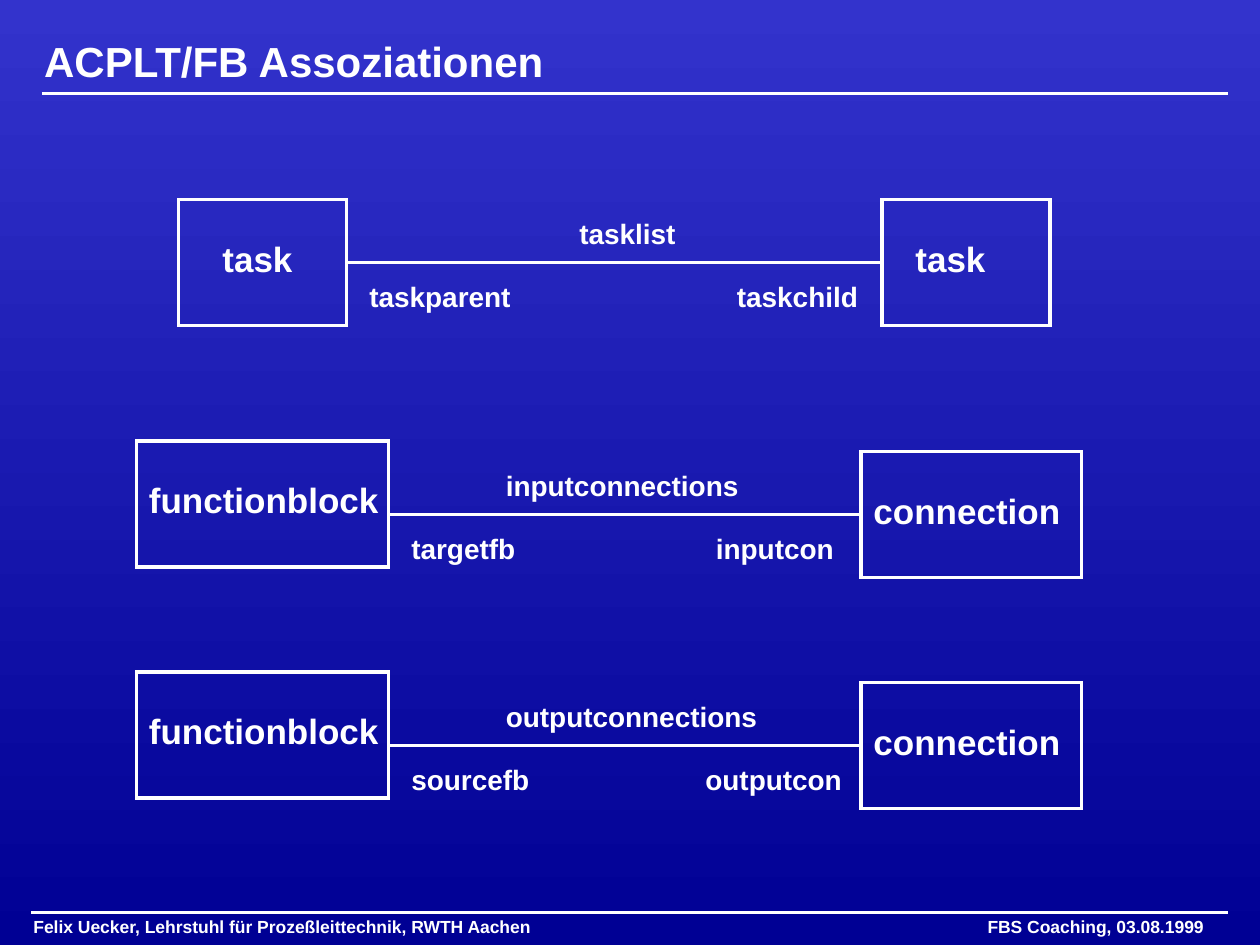
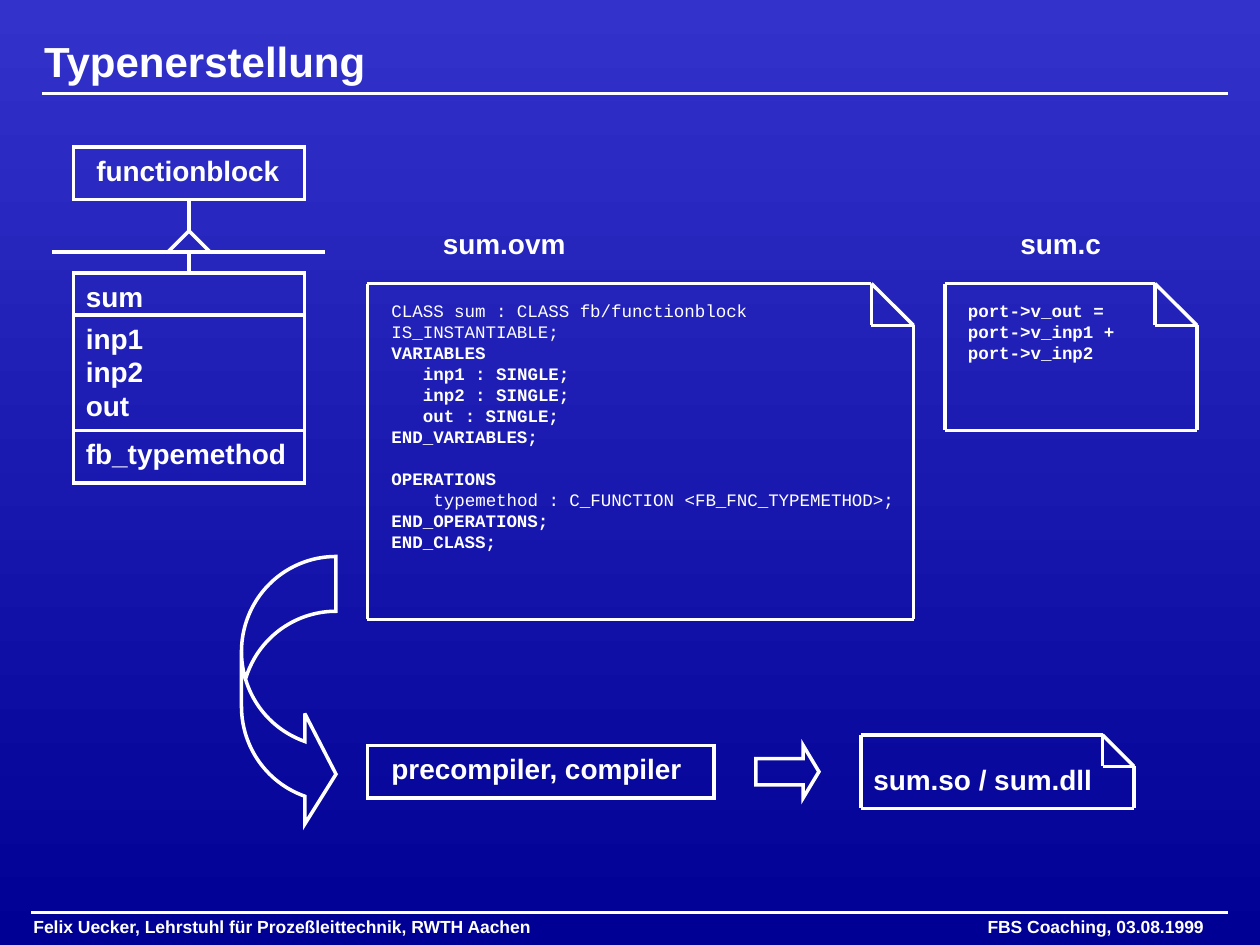
from itertools import pairwise

from lxml.etree import SubElement
from pptx import Presentation
from pptx.dml.color import RGBColor
from pptx.enum.shapes import MSO_CONNECTOR, MSO_SHAPE
from pptx.enum.text import MSO_ANCHOR, MSO_AUTO_SIZE, PP_ALIGN
from pptx.oxml.ns import qn
from pptx.util import Cm, Pt

COLORS = {"ink": "FFFFFF", "top": "3333CC", "base": "000094"}
INK = RGBColor.from_string(COLORS["ink"])

# Text styles
HEAD = {"name": "Arial", "size": Pt(24), "bold": True}
NAME = HEAD | {"size": Pt(20)}
LABEL = HEAD | {"size": Pt(16)}
SMALL = HEAD | {"size": Pt(10)}
CODE = {"name": "Courier New", "size": Pt(10), "bold": True}
PLAIN = CODE | {"bold": False}

FOOT = ("Felix Uecker, Lehrstuhl für Prozeßleittechnik, RWTH Aachen",
        "FBS Coaching, 03.08.1999")


def grid(*units):
    """Lengths on a grid of 120 by 90 units over the slide."""
    return [Cm(unit * 25.4 / 120) for unit in units]


def style(font, look):
    for key, value in look.items():
        setattr(font, key, value)
    font.color.rgb = INK


def stroke(shape):
    """White line with sharp corners."""
    shape.line.color.rgb = INK
    shape.line.width = Pt(2)
    edge = shape._element.spPr.find(qn("a:ln"))
    SubElement(edge, qn("a:miter"), lim="800000")


def box(slide, x, y, w, h, kind=MSO_SHAPE.RECTANGLE, adjust=()):
    shape = slide.shapes.add_shape(kind, *grid(x, y, w, h))
    shape.fill.background()
    stroke(shape)
    shape.shadow.inherit = False
    for index, value in enumerate(adjust):
        shape.adjustments[index] = value


def line(slide, x1, y1, x2, y2):
    link = slide.shapes.add_connector(
        MSO_CONNECTOR.STRAIGHT, *grid(x1, y1, x2, y2))
    stroke(link)
    SubElement(link._element.spPr, qn("a:effectLst"))


def text(slide, x, y, w, rows, look=LABEL, align=PP_ALIGN.LEFT):
    """Rows are strings, or (string, look, indent, space before) tuples."""
    rows = [rows] if isinstance(rows, str) else rows
    high = look["size"].pt * 0.2 * len(rows) + 1.2
    frame = slide.shapes.add_textbox(*grid(x, y, w, high)).text_frame
    frame.word_wrap = True
    for index, row in enumerate(rows):
        words, face, indent, gap = (
            (row, look, 0, 0) if isinstance(row, str) else row)
        para = frame.add_paragraph() if index else frame.paragraphs[0]
        para.alignment = align
        para.line_spacing = Pt(face["size"].pt * 1.2)
        para.space_before = Pt(gap)
        para._p.get_or_add_pPr().set("marL", str(Pt(indent)))
        run = para.add_run()
        run.text = words
        style(run.font, face)


def note(slide, x, y, w, h, fold):
    """Sheet of seven lines with its top right corner folded down."""
    right, low = x + w, y + h
    crease, edge = right - fold, y + fold
    sheet = [(crease, y), (right, edge), (right, low), (x, low), (x, y),
             (crease, y), (crease, edge), (right, edge)]
    for start, stop in pairwise(sheet):
        line(slide, *min(start, stop), *max(start, stop))


def page(prs, title):
    """New slide with title, rules and footer."""
    slide = prs.slides.add_slide(prs.slide_layouts[5])
    head = slide.shapes.title
    head.left, head.top, head.width, head.height = grid(3, 2.9, 99, 5.8)
    frame = head.text_frame
    frame.text = title
    frame.auto_size = MSO_AUTO_SIZE.NONE
    frame.vertical_anchor = MSO_ANCHOR.MIDDLE
    frame.paragraphs[0].alignment = PP_ALIGN.LEFT
    style(frame.paragraphs[0].runs[0].font, HEAD)
    line(slide, 4, 8.9, 117, 8.9)
    line(slide, 3, 86.9, 117, 86.9)
    for words, x, w, align in zip(
            FOOT, (2, 72), (70, 43.8), (PP_ALIGN.LEFT, PP_ALIGN.RIGHT)):
        text(slide, x, 86.7, w, words, SMALL, align)
    return slide


def relate(slide, y, ends, labels):
    """Two named boxes joined by a line at y, with three labels."""
    for name, x, top, w, inset in ends:
        text(slide, x + inset, y + top + 3, w - inset + 1, name, NAME)
        box(slide, x, y + top, w, 12)
    start, stop = ends[0][1] + ends[0][3], ends[1][1]
    line(slide, start, y, stop, y)
    for (words, x, w), shift in zip(labels, (-5, 1, 1)):
        text(slide, x, y + shift, w, words)


def links(prs):
    slide = page(prs, "ACPLT/FB Assoziationen")
    tasks = [("task", 17, -6, 16, 3), ("task", 84, -6, 16, 2)]
    blocks = [("functionblock", 13, -7, 24, 0),
              ("connection", 82, -6, 21, 0)]
    relate(slide, 25, tasks, [
        ("tasklist", 54, 12), ("taskparent", 34, 17), ("taskchild", 69, 15)])
    relate(slide, 49, blocks, [
        ("inputconnections", 47, 26), ("targetfb", 38, 13),
        ("inputcon", 67, 14)])
    relate(slide, 71, blocks, [
        ("outputconnections", 47, 28), ("sourcefb", 38, 14),
        ("outputcon", 66, 16)])


def types(prs):
    slide = page(prs, "Typenerstellung")

    # Class tree
    text(slide, 8, 14, 21, "functionblock")
    box(slide, 7, 14, 22, 5)
    for ends in [(18, 19, 18, 22), (18, 22, 16, 24), (18, 22, 20, 24),
                 (5, 24, 31, 24), (18, 24, 18, 26)]:
        line(slide, *ends)
    box(slide, 7, 26, 22, 20)
    for y, rows in [(26, "sum"), (30, ["inp1", "inp2", "out"]),
                    (41, "fb_typemethod")]:
        text(slide, 7, y, 22, rows)
        if y > 26:
            line(slide, 7, y, 29, y)

    # Source files
    note(slide, 35, 27, 52, 32, 4)
    text(slide, 41, 21, 15, "sum.ovm")
    text(slide, 36.1, 28, 51, [
        ("CLASS sum : CLASS fb/functionblock", PLAIN, 0, 0),
        ("IS_INSTANTIABLE;", PLAIN, 0, 0),
        "VARIABLES",
        *[(f"{port} : SINGLE;", CODE, 18, 0)
          for port in ("inp1", "inp2", "out")],
        "END_VARIABLES;",
        ("OPERATIONS", CODE, 0, 12),
        ("typemethod : C_FUNCTION <FB_FNC_TYPEMETHOD>;", PLAIN, 24, 0),
        "END_OPERATIONS;",
        "END_CLASS;"], CODE)
    note(slide, 90, 27, 24, 14, 4)
    text(slide, 96, 21, 11, "sum.c")
    text(slide, 91, 28, 18,
         ["port->v_out =", "port->v_inp1 +", "port->v_inp2"], CODE)

    # Build steps
    box(slide, 23, 53, 9, 26, MSO_SHAPE.CURVED_RIGHT_ARROW,
        (0.58, 1.17, 0.33))
    text(slide, 36.1, 71, 31, "precompiler, compiler")
    box(slide, 35, 71, 33, 5)
    box(slide, 72, 71, 6, 5, MSO_SHAPE.RIGHT_ARROW, (0.5, 0.3))
    text(slide, 82, 72, 24, "sum.so / sum.dll")
    note(slide, 82, 70, 26, 7, 3)


def main():
    prs = Presentation()
    prs.slide_width, prs.slide_height = grid(120, 90)

    # Shared background
    fill = prs.slide_master.background.fill
    fill.gradient()
    fill.gradient_angle = 270
    for stop, key in zip(fill.gradient_stops, ("top", "base")):
        stop.color.rgb = RGBColor.from_string(COLORS[key])

    links(prs)
    types(prs)
    prs.save("out.pptx")


if __name__ == "__main__":
    main()
